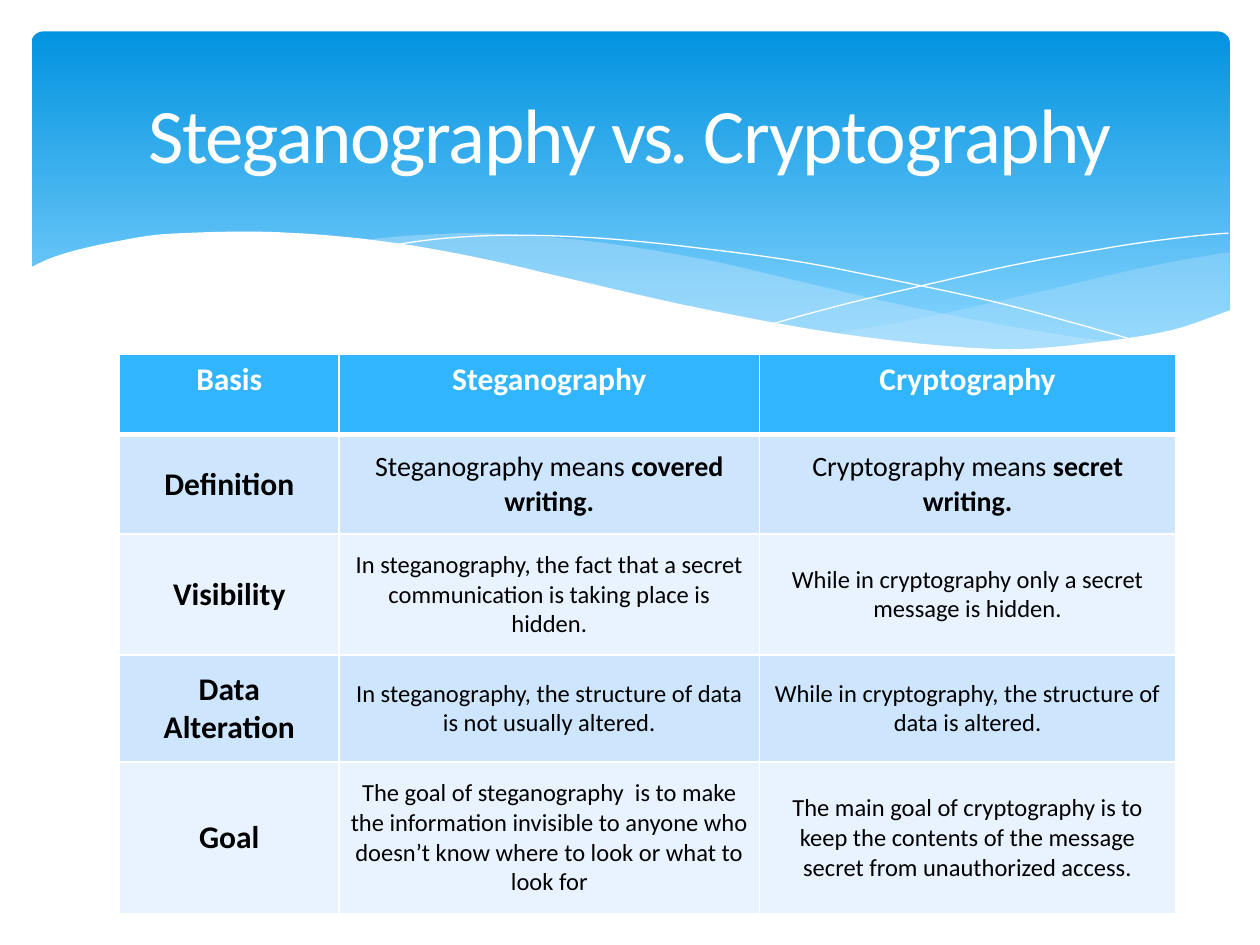
from lxml import etree
from pptx import Presentation
from pptx.dml.color import RGBColor
from pptx.enum.shapes import MSO_SHAPE
from pptx.enum.text import MSO_ANCHOR, MSO_AUTO_SIZE, PP_ALIGN
from pptx.oxml.ns import qn
from pptx.util import Inches, Pt

ROUND = MSO_SHAPE.ROUNDED_RECTANGLE
MIDDLE, TOP = MSO_ANCHOR.MIDDLE, MSO_ANCHOR.TOP
CENTER = PP_ALIGN.CENTER
NO_FIT = MSO_AUTO_SIZE.NONE

WHITE = RGBColor(0xFF, 0xFF, 0xFF)
BLACK = RGBColor(0x00, 0x00, 0x00)
DEEP = RGBColor(0x02, 0x93, 0xE0)
SKY = RGBColor(0x83, 0xD3, 0xFE)
MIST = RGBColor(0xC6, 0xE7, 0xFC)
HEAD = RGBColor(0x31, 0xB6, 0xFD)
BANDS = RGBColor(0xCE, 0xE5, 0xFE), RGBColor(0xE8, 0xF3, 0xFF)

FONT = "Calibri"
UNIT = Inches(0.01)  # the slide is a grid of 1000 columns and 750 rows
FINE = 10            # curve points per grid unit
STEPS = 6            # segments between two curve points

# Curves run through these (column, row) points.
RIGHT_TOP = [(976, 200), (935, 207), (891, 216), (832, 230), (779, 242),
             (729, 253), (661, 265)]
RIGHT_LOW = [(661, 265), (705, 271), (757, 276), (803, 278), (844, 277),
             (881, 273), (913, 267), (942, 259), (976, 247)]
LONG_TOP = [(893, 273), (837, 265), (775, 254), (706, 240), (629, 222),
            (569, 208), (514, 198), (465, 191), (420, 187), (380, 185),
            (344, 186), (313, 188), (286, 191)]
LONG_LOW = [(286, 191), (342, 199), (404, 211), (449, 222), (530, 240),
            (601, 255), (665, 266), (722, 274), (773, 277), (818, 278),
            (857, 277), (893, 273)]
FALLING = [(309, 195), (344, 190), (387, 187), (433, 187), (489, 190),
           (556, 197), (636, 208), (727, 226), (795, 241), (869, 261),
           (907, 272)]
RISING = [(613, 257), (672, 241), (748, 223), (806, 210), (866, 199),
          (910, 192), (951, 187), (975, 185)]
EDGE = [(977, 246), (930, 262), (875, 271), (809, 277), (744, 274),
        (668, 265), (603, 254), (529, 239), (447, 220), (391, 207),
        (340, 197), (292, 190), (250, 186), (211, 184), (177, 184),
        (146, 185), (119, 187), (85, 193), (59, 199), (40, 205), (23, 213)]
BASE = [(23, 329), (977, 329)]

COLS = 174, 334, 330
ROWS = 64, 79, 96, 72, 120
TITLES = "Basis", "Steganography", "Cryptography"
# Each row: label, text size, then two cells of (plain, bold) text.
BODY = [
    ("Definition", 16, ("Steganography means ", "covered writing."),
     ("Cryptography means ", "secret writing.")),
    ("Visibility", 14,
     ("In steganography, the fact that a secret communication is taking "
      "place is hidden.", ""),
     ("While in cryptography only a secret message is hidden.", "")),
    ("Data Alteration", 14,
     ("In steganography, the structure of data is not usually altered.", ""),
     ("While in cryptography, the structure of data is altered.", "")),
    ("Goal", 14,
     ("The goal of steganography  is to make the information invisible to "
      "anyone who doesn’t know where to look or what to look for", ""),
     ("The main goal of cryptography is to keep the contents of the message "
      "secret from unauthorized access.", "")),
]


def grid(*cells):
    return [int(c * UNIT) for c in cells]


def write(frame, text, size, color, bold=False, gap=None):
    """Add a run to the first paragraph of a text frame."""
    para = frame.paragraphs[0]
    para.alignment = CENTER
    run = para.add_run()
    run.text = text
    font = run.font
    font.name, font.size, font.bold = FONT, Pt(size), bold
    font.color.rgb = color
    if gap is not None:
        run.font._element.set("spc", str(int(gap * 100)))


def smooth(points):
    """Return a Catmull-Rom curve through the points."""
    ends = [points[0], *points, points[-1]]
    curve = [points[0]]
    for a, b, c, d in zip(ends, ends[1:], ends[2:], ends[3:]):
        for step in range(1, STEPS + 1):
            t = step / STEPS
            curve.append(tuple(
                (2 * q + (r - p) * t + (2 * p - 5 * q + 4 * r - s) * t ** 2
                 + (3 * q - p - 3 * r + s) * t ** 3) / 2
                for p, q, r, s in zip(a, b, c, d)))
    return curve


def draw(slide, points, close):
    fine = [(x * FINE, y * FINE) for x, y in points]
    path = slide.shapes.build_freeform(*fine[0], scale=UNIT / FINE)
    path.add_line_segments(fine[1:], close=close)
    shape = path.convert_to_shape()
    shape.shadow.inherit = False
    return shape


def wave(slide, points, color, alpha=100):
    shape = draw(slide, points, True)
    shape.fill.solid()
    shape.fill.fore_color.rgb = color
    shape.line.fill.background()
    if alpha < 100:
        tint = next(shape.element.spPr.iter(qn("a:srgbClr")))
        etree.SubElement(tint, qn("a:alpha")).set("val", str(alpha * 1000))


def strand(slide, points):
    shape = draw(slide, smooth(points), False)
    shape.fill.background()
    shape.line.color.rgb = WHITE
    shape.line.width = Pt(0)


def banner(slide):
    shape = slide.shapes.add_shape(ROUND, *grid(25, 25, 951, 270))
    shape.adjustments[0] = 0.034
    shape.shadow.inherit = False
    shape.line.fill.background()
    shape.fill.gradient()
    shape.fill.gradient_angle = 270
    for stop, color, pos in zip(shape.fill.gradient_stops, (DEEP, SKY), (0, 0.9)):
        stop.color.rgb, stop.position = color, pos


def border(cell, **widths):
    props = cell._tc.get_or_add_tcPr()
    for side in "LRTB":
        line = etree.SubElement(props, qn(f"a:ln{side}"))
        line.set("w", str(Pt(widths.get(side, 1))))
        fill = etree.SubElement(line, qn("a:solidFill"))
        etree.SubElement(fill, qn("a:srgbClr")).set("val", str(WHITE))


def paint(cell, color, anchor, **widths):
    border(cell, **widths)
    cell.fill.solid()
    cell.fill.fore_color.rgb = color
    cell.vertical_anchor = anchor


def compare(slide):
    """Add the table that sets the two methods side by side."""
    box = grid(95, 281, sum(COLS), sum(ROWS))
    table = slide.shapes.add_table(len(ROWS), len(COLS), *box).table
    table.first_row = table.horz_banding = False
    for col, width in zip(table.columns, grid(*COLS)):
        col.width = width
    for row, height in zip(table.rows, grid(*ROWS)):
        row.height = height
    for col, text in enumerate(TITLES):
        cell = table.cell(0, col)
        paint(cell, HEAD, TOP, B=3)
        write(cell.text_frame, text, 18, WHITE, bold=True)
    for row, (label, size, *texts) in enumerate(BODY, 1):
        for col, (plain, strong) in enumerate([("", label), *texts]):
            cell = table.cell(row, col)
            paint(cell, BANDS[(row - 1) % 2], MIDDLE, T=3 if row == 1 else 1)
            cell.margin_left, cell.margin_right = grid(8, 8)
            cell.margin_top, cell.margin_bottom = grid(12, 12)
            for text, bold in ((plain, False), (strong, True)):
                if text:
                    write(cell.text_frame, text, size if col else 18, BLACK,
                          bold=bold)


def head(slide):
    title = slide.shapes.title
    title.left, title.top, title.width, title.height = grid(50, 37, 900, 137)
    frame = title.text_frame
    frame.vertical_anchor, frame.auto_size = MIDDLE, NO_FIT
    for text, gap in (("Steganography ", -0.8), ("vs. ", -1.9),
                      ("Cryptography", -0.7)):
        write(frame, text, 44, WHITE, gap=gap)
    title.element.getparent().append(title.element)  # bring to front


def main():
    deck = Presentation()
    deck.slide_width, deck.slide_height = grid(1000, 750)
    slide = deck.slides.add_slide(deck.slide_layouts[5])
    banner(slide)
    wave(slide, smooth(RIGHT_TOP) + smooth(RIGHT_LOW), MIST, alpha=29)
    wave(slide, smooth(LONG_TOP) + smooth(LONG_LOW), MIST, alpha=40)
    strand(slide, FALLING)
    strand(slide, RISING)
    wave(slide, smooth(EDGE) + BASE, WHITE)
    compare(slide)
    head(slide)
    deck.save("out.pptx")


if __name__ == "__main__":
    main()
